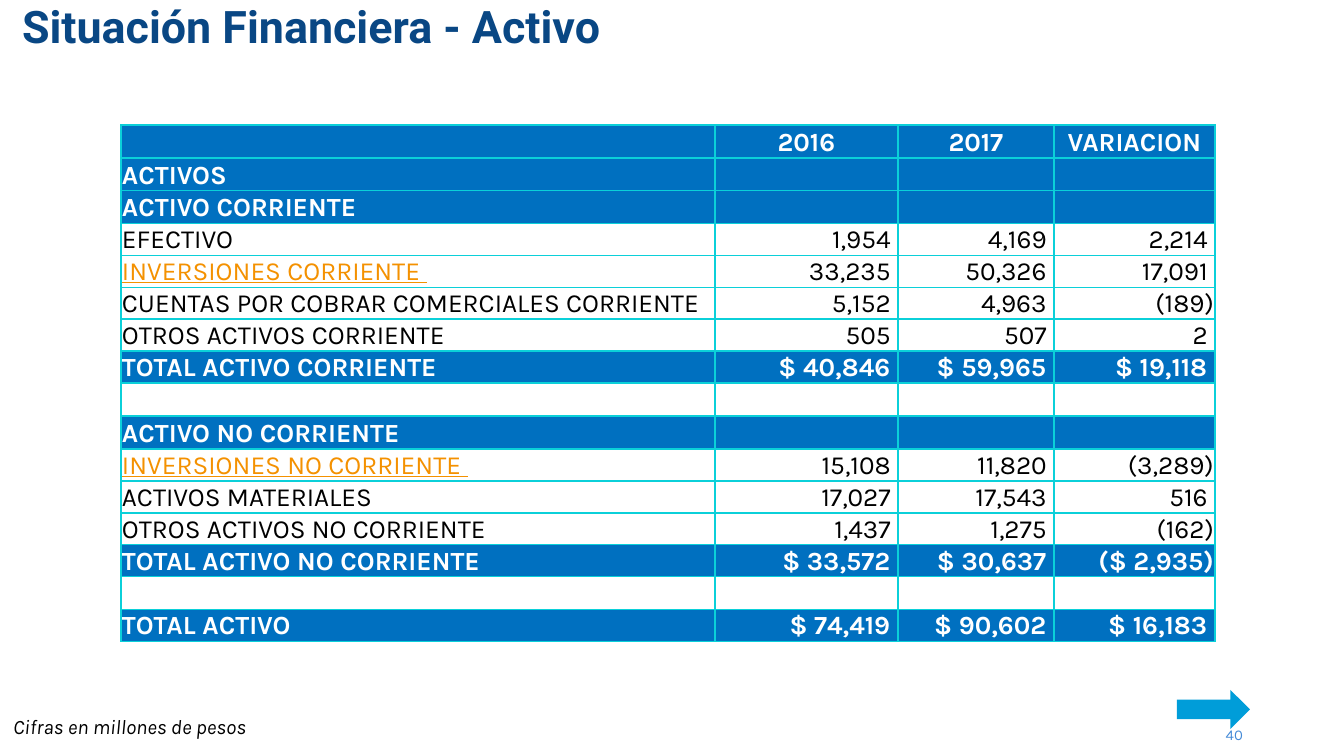
import lxml.etree
import pptx
import pptx.dml.color
import pptx.enum.shapes
import pptx.enum.text
import pptx.oxml.ns
import pptx.util

RGBColor = pptx.dml.color.RGBColor
ALIGN = pptx.enum.text.PP_ALIGN
ANCHOR = pptx.enum.text.MSO_ANCHOR
qn = pptx.oxml.ns.qn

NAVY = RGBColor(0x09, 0x47, 0x84)
BLUE = RGBColor(0x00, 0x70, 0xC0)
SKY = RGBColor(0x00, 0x9D, 0xD9)
PALE_BLUE = RGBColor(0x44, 0x8A, 0xD7)
CYAN = RGBColor(0x0B, 0xD0, 0xD9)
ORANGE = RGBColor(0xF4, 0x91, 0x00)
WHITE = RGBColor(0xFF, 0xFF, 0xFF)
BLACK = RGBColor(0x00, 0x00, 0x00)

EMU_PER_PX = 914400 / 134.4

# Row kinds
HEAD, SECTION, ITEM, LINK, TOTAL, GAP = range(6)
BANDS = (HEAD, SECTION, TOTAL)

COLUMN_WIDTHS = [594, 183, 156, 161]
ROW_HEIGHT = 32
BALANCE = [
    (HEAD, "", "2016", "2017", "VARIACION"),
    (SECTION, "ACTIVOS"),
    (SECTION, "ACTIVO CORRIENTE"),
    (ITEM, "EFECTIVO", 1954, 4169, 2214),
    (LINK, "INVERSIONES CORRIENTE ", 33235, 50326, 17091),
    (ITEM, "CUENTAS POR COBRAR COMERCIALES CORRIENTE", 5152, 4963, -189),
    (ITEM, "OTROS ACTIVOS CORRIENTE", 505, 507, 2),
    (TOTAL, "TOTAL ACTIVO CORRIENTE", 40846, 59965, 19118),
    (GAP,),
    (SECTION, "ACTIVO NO CORRIENTE"),
    (LINK, "INVERSIONES NO CORRIENTE ", 15108, 11820, -3289),
    (ITEM, "ACTIVOS MATERIALES", 17027, 17543, 516),
    (ITEM, "OTROS ACTIVOS NO CORRIENTE", 1437, 1275, -162),
    (TOTAL, "TOTAL ACTIVO NO CORRIENTE", 33572, 30637, -2935),
    (GAP,),
    (TOTAL, "TOTAL ACTIVO", 74419, 90602, 16183),
]


def px(length):
    return pptx.util.Emu(round(length * EMU_PER_PX))


def amount(value, kind):
    """Accounting format: parentheses for negatives, a space in their place otherwise."""
    digits = ("$ " if kind == TOTAL else "") + f"{abs(value):,}"
    return f"({digits})" if value < 0 else f"{digits} "


class SlideBuilder:
    body_font = "Karla"
    title_font = "Roboto"
    table_size = 14

    def __init__(self, slide):
        self.slide = slide

    def place(self, shape, box):
        shape.left, shape.top, shape.width, shape.height = map(px, box)

    def run(self, paragraph, text, size, color, font=None, bold=False,
            italic=False, underline=False):
        run = paragraph.add_run()
        run.text = text
        run.font.name = font or self.body_font
        run.font.size = pptx.util.Pt(size)
        run.font.color.rgb = color
        run.font.bold = bold
        run.font.italic = italic
        run.font.underline = underline

    def frame(self, shape, margins, anchor):
        frame = shape.text_frame
        frame.word_wrap = True
        frame.auto_size = pptx.enum.text.MSO_AUTO_SIZE.NONE
        frame.vertical_anchor = anchor
        frame.margin_left = frame.margin_right = px(margins[0])
        frame.margin_top = frame.margin_bottom = px(margins[1])
        return frame.paragraphs[0]

    def title(self, text, box):
        title = self.slide.shapes.title
        self.place(title, box)
        paragraph = self.frame(title, (0, 0), ANCHOR.TOP)
        paragraph.alignment = ALIGN.LEFT
        paragraph.line_spacing = 0.85
        self.run(paragraph, text, 24, NAVY, font=self.title_font, bold=True)

    def text(self, text, box, size, color, margins=(0, 0), anchor=ANCHOR.TOP,
             align=ALIGN.LEFT, italic=False):
        textbox = self.slide.shapes.add_textbox(*map(px, box))
        paragraph = self.frame(textbox, margins, anchor)
        paragraph.alignment = align
        self.run(paragraph, text, size, color, italic=italic)

    def arrow(self, box, color):
        arrow = self.slide.shapes.add_shape(
            pptx.enum.shapes.MSO_SHAPE.RIGHT_ARROW, *map(px, box))
        arrow.shadow.inherit = False
        arrow.fill.solid()
        arrow.fill.fore_color.rgb = color
        arrow.line.fill.background()

    def borders(self, cell):
        properties = cell._tc.get_or_add_tcPr()
        for side in ("a:lnL", "a:lnR", "a:lnT", "a:lnB"):
            line = lxml.etree.SubElement(properties, qn(side), w="12700")
            fill = lxml.etree.SubElement(line, qn("a:solidFill"))
            lxml.etree.SubElement(fill, qn("a:srgbClr"), val=str(CYAN))

    def cell(self, cell, text, kind, column):
        band = kind in BANDS
        link = kind == LINK and column == 0
        self.borders(cell)
        if band:
            cell.fill.solid()
            cell.fill.fore_color.rgb = BLUE
        else:
            cell.fill.background()
        cell.margin_left = cell.margin_right = cell.margin_top = px(1)
        cell.margin_bottom = 0
        cell.vertical_anchor = ANCHOR.BOTTOM
        paragraph = cell.text_frame.paragraphs[0]
        if not text:
            # Keeps an empty cell as low as its row
            lxml.etree.SubElement(paragraph._p, qn("a:endParaRPr"),
                                  sz=str(self.table_size * 100))
            return
        if column:
            paragraph.alignment = ALIGN.CENTER if kind == HEAD else ALIGN.RIGHT
        color = WHITE if band else ORANGE if link else BLACK
        self.run(paragraph, text, self.table_size, color, bold=band, underline=link)

    def table(self, rows, left, top):
        box = (left, top, sum(COLUMN_WIDTHS), ROW_HEIGHT * len(rows))
        table = self.slide.shapes.add_table(
            len(rows), len(COLUMN_WIDTHS), *map(px, box)).table
        table.first_row = table.horz_banding = False
        for column, width in zip(table.columns, COLUMN_WIDTHS):
            column.width = px(width)
        for row, (kind, *values) in zip(table.rows, rows):
            row.height = px(ROW_HEIGHT)
            for index, cell in enumerate(row.cells):
                value = values[index] if index < len(values) else ""
                text = value if isinstance(value, str) else amount(value, kind)
                self.cell(cell, text, kind, index)


def main():
    deck = pptx.Presentation()
    deck.slide_width, deck.slide_height = px(1344), px(756)
    builder = SlideBuilder(deck.slides.add_slide(deck.slide_layouts[5]))

    # Heading
    builder.title("Situación Financiera - Activo", (22, 7, 704, 46))

    # Balance table
    builder.table(BALANCE, 121, 125)

    # Footer: units, arrow and page number
    builder.text("Cifras en millones de pesos", (0, 707, 747, 34), 11, BLACK,
                 margins=(13, 7), italic=True)
    builder.arrow((1177, 690, 73, 39), SKY)
    builder.text("40", (1200, 726, 43, 17), 8, PALE_BLUE,
                 anchor=ANCHOR.BOTTOM, align=ALIGN.RIGHT)

    deck.save("out.pptx")


if __name__ == "__main__":
    main()
